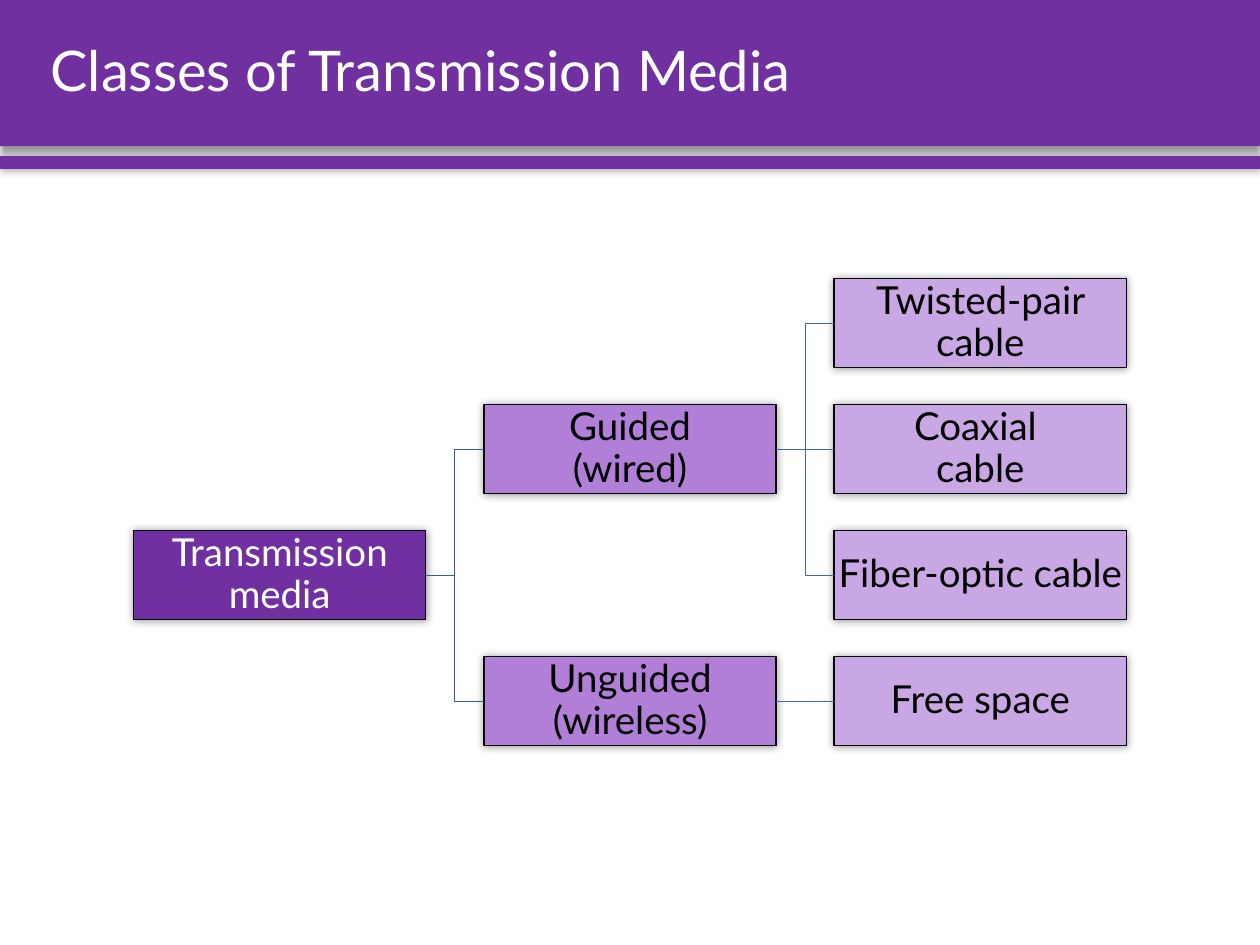
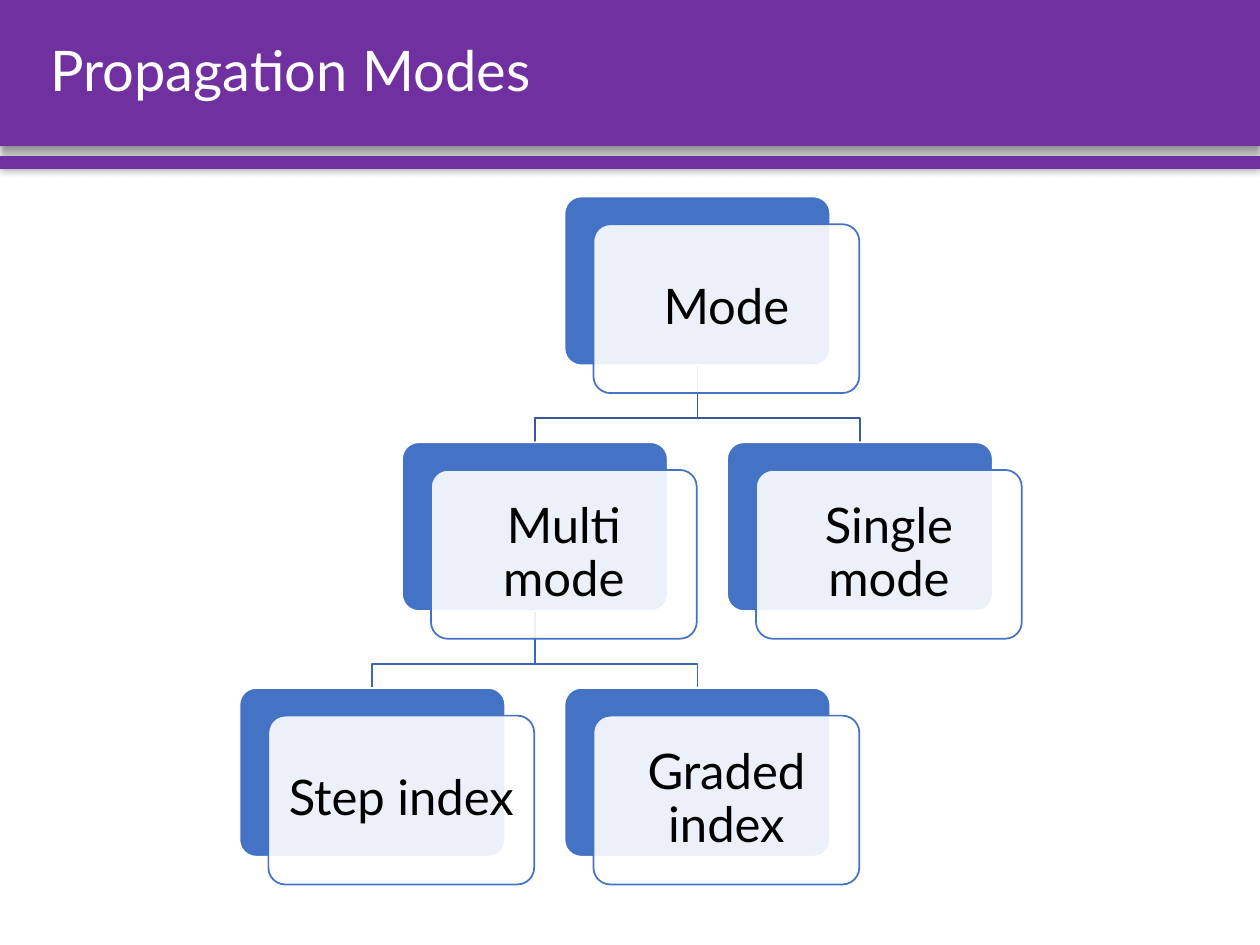
from lxml import etree
from pptx import Presentation
from pptx.dml.color import RGBColor
from pptx.enum.shapes import MSO_CONNECTOR, MSO_SHAPE
from pptx.enum.text import MSO_ANCHOR, MSO_AUTO_SIZE, PP_ALIGN
from pptx.oxml.ns import qn
from pptx.util import Inches, Pt

RECT, ROUND = MSO_SHAPE.RECTANGLE, MSO_SHAPE.ROUNDED_RECTANGLE
STRAIGHT, ELBOW = MSO_CONNECTOR.STRAIGHT, MSO_CONNECTOR.ELBOW
LEFT, CENTER = PP_ALIGN.LEFT, PP_ALIGN.CENTER
MIDDLE, NO_FIT = MSO_ANCHOR.MIDDLE, MSO_AUTO_SIZE.NONE

FONT = "Lato"
PURPLE = RGBColor(0x70, 0x30, 0xA0)
ROOT = RGBColor(0x71, 0x30, 0xA2)
BRANCH = RGBColor(0xB1, 0x7E, 0xD8)
LEAF = RGBColor(0xC9, 0xA6, 0xE4)
BLUE = RGBColor(0x44, 0x72, 0xC4)
DARK_LINK = RGBColor(0x36, 0x5B, 0x9D)
LINK = RGBColor(0x3E, 0x67, 0xB2)
WHITE = RGBColor(0xFF, 0xFF, 0xFF)
BLACK = RGBColor(0, 0, 0)

# name, column, row, parent
MEDIA = [
    ("Transmission media", 0, 2, None),
    ("Guided\n(wired)", 1, 1, 0),
    ("Unguided\n(wireless)", 1, 3, 0),
    ("Twisted-pair cable", 2, 0, 1),
    ("Coaxial \ncable", 2, 1, 1),
    ("Fiber-optic cable", 2, 2, 1),
    ("Free space", 2, 3, 2),
]
MODES = [
    ("Mode", 2, 0, None),
    ("Multi mode", 1, 1, 0),
    ("Step index", 0, 2, 1),
    ("Graded index", 2, 2, 1),
    ("Single mode", 3, 1, 0),
]


def write(shape, text, size, color=BLACK, align=CENTER, inset=None):
    frame = shape.text_frame
    frame.word_wrap = True
    frame.auto_size = NO_FIT
    frame.vertical_anchor = MIDDLE
    if inset is not None:
        frame.margin_left = frame.margin_right = Inches(inset)
        frame.margin_top = frame.margin_bottom = Inches(inset)
    para = frame.paragraphs[0]
    para.text = text
    para.alignment = align
    para.line_spacing = 0.9
    for run in para.runs:
        run.font.name = FONT
        run.font.size = Pt(size)
        run.font.color.rgb = color


def add_box(slide, kind, box, fill, line=None, width=1):
    shape = slide.shapes.add_shape(kind, *map(Inches, box))
    shape.shadow.inherit = False
    shape.fill.solid()
    shape.fill.fore_color.rgb = fill
    if line is None:
        shape.line.fill.background()
    else:
        shape.line.color.rgb = line
        shape.line.width = Pt(width)
    return shape


def set_alpha(color, percent):
    etree.SubElement(color, qn("a:alpha")).set("val", str(percent * 1000))


def cast(shape, blur=5, dist=0, angle=0):
    """Give the shape a soft black shadow."""
    effects = shape.element.spPr.find(qn("a:effectLst"))
    outer = etree.SubElement(effects, qn("a:outerShdw"), blurRad=str(Pt(blur)),
                             dist=str(Pt(dist)), dir=str(angle * 60000),
                             algn="ctr", rotWithShape="0")
    color = etree.SubElement(outer, qn("a:srgbClr"), val="000000")
    set_alpha(color, 40)


def add_bands(slide):
    """Place the header bands on the layout of the slide, behind its title."""
    top = add_box(slide, RECT, (0, 0, 10, 1.16), PURPLE)
    cast(top, blur=4, dist=3, angle=90)
    rule = add_box(slide, RECT, (0, 1.24, 10, 0.1), PURPLE)
    cast(rule)
    tree = slide.slide_layout.shapes.element
    for place, band in enumerate((top, rule), 2):
        tree.insert(place, band.element)


def add_page(deck, title):
    slide = deck.slides.add_slide(deck.slide_layouts[5])
    head = slide.shapes.title
    head.left, head.top = Inches(0.3), Inches(0)
    head.width, head.height = Inches(9.46), Inches(1.16)
    write(head, title, 32, color=WHITE, align=LEFT)
    return slide


def join(slide, parent, child, color):
    """Link the right side of one box to the left side of the next."""
    kind = STRAIGHT if parent.top == child.top else ELBOW
    link = slide.shapes.add_connector(kind, 0, 0, 0, 0)
    link.begin_connect(parent, 3)
    link.end_connect(child, 1)
    link.line.color.rgb = color
    link.line.width = Pt(0.5)
    etree.SubElement(link.element.spPr, qn("a:effectLst"))


def draw_media(slide, left, top):
    wide, high, step, drop = 2.32, 0.71, 2.78, 1
    fills = (ROOT, BRANCH, LEAF)
    boxes = []
    for name, col, row, parent in MEDIA:
        place = (left + col * step, top + row * drop, wide, high)
        box = add_box(slide, RECT, place, fills[col], BLACK, 0.75)
        cast(box)
        write(box, name, 22, color=BLACK if col else WHITE, inset=0.02)
        boxes.append(box)
        if parent is not None:
            join(slide, boxes[parent], box, LINK if parent else DARK_LINK)


def add_link(slide, start, end, bend, color):
    """Draw a path down to the bend, across, and down to the end."""
    (x1, y1), (x2, y2) = start, end
    path = slide.shapes.build_freeform(Inches(x1), Inches(y1))
    points = [(x1, y1 + bend), (x2, y1 + bend), (x2, y2)]
    path.add_line_segments([(Inches(x), Inches(y)) for x, y in points], close=False)
    link = path.convert_to_shape()
    link.shadow.inherit = False
    link.fill.background()
    link.line.color.rgb = color
    link.line.width = Pt(1)


def add_card(slide, name, x, y, wide, high):
    back = add_box(slide, ROUND, (x, y, wide, high), BLUE, WHITE)
    front = add_box(slide, ROUND, (x + 0.23, y + 0.22, wide, high), WHITE, BLUE)
    for card in (back, front):
        card.adjustments[0] = 0.1
    set_alpha(front.element.spPr.find(".//" + qn("a:srgbClr")), 90)
    write(front, name, 28, inset=0.11)


def draw_modes(slide, left, top):
    wide, high, step, drop = 2.11, 1.34, 1.29, 1.95
    spots = [(left + col * step, top + row * drop) for _, col, row, _ in MODES]
    for (x, y), (*_, parent) in zip(spots, MODES):
        if parent is not None:
            px, py = spots[parent]
            add_link(slide, (px + wide / 2, py + high), (x + wide / 2, y), 0.42,
                     LINK if parent else DARK_LINK)
    for (x, y), (name, *_) in zip(spots, MODES):
        add_card(slide, name, x, y, wide, high)


def main():
    deck = Presentation()
    deck.slide_width, deck.slide_height = Inches(10), Inches(7.5)
    media = add_page(deck, "Classes of Transmission Media")
    add_bands(media)
    draw_media(media, 1.06, 2.21)
    modes = add_page(deck, "Propagation Modes")
    draw_modes(modes, 1.9, 1.56)
    deck.save("out.pptx")


if __name__ == "__main__":
    main()
